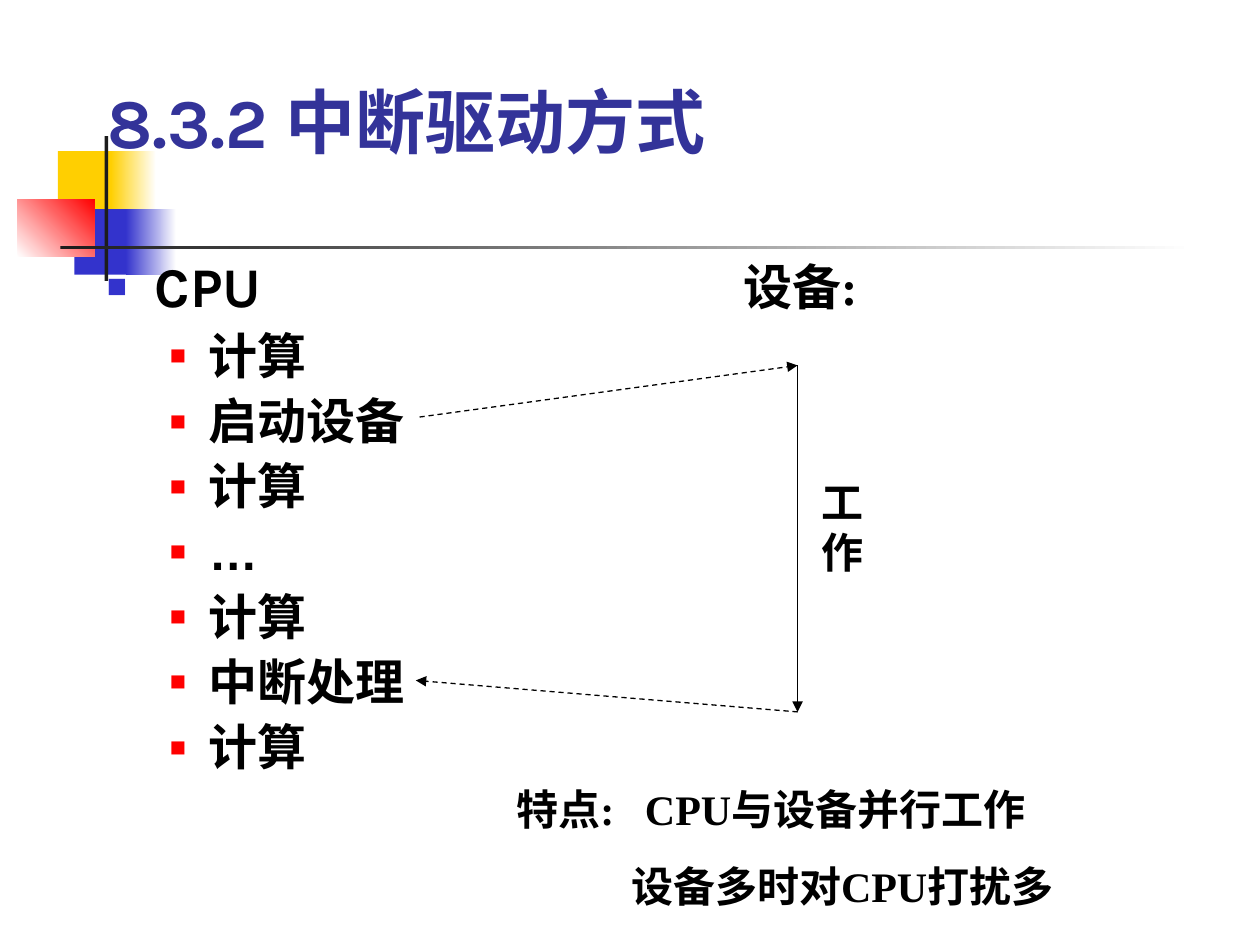
from lxml.etree import SubElement
from pptx import Presentation
from pptx.dml.color import RGBColor
from pptx.enum.dml import MSO_LINE_DASH_STYLE as Dash
from pptx.enum.shapes import MSO_CONNECTOR as Connector, MSO_SHAPE as Shape
from pptx.enum.text import MSO_ANCHOR as Anchor, PP_ALIGN as Align
from pptx.oxml.ns import qn
from pptx.util import Inches, Pt

COLORS = {
    "yellow": "FFCF01",
    "blue": "3333CC",
    "red": "FF0000",
    "dark": "1C1C1C",
    "white": "FFFFFF",
    "title": "333399",
    "text": "000000",
}
HEADING_FONT = "Karla"
LABEL_FONT = "Times New Roman"
CPU_STEPS = ["计算", "启动设备", "计算", "…", "计算", "中断处理", "计算"]
DECORATIONS = [
    (0.46, 1.2, 0.48, 0.52, ["yellow"], 0),
    (0.88, 1.2, 0.36, 0.52, ["yellow", "white"], 0),
    (0.59, 1.66, 0.46, 0.52, ["blue"], 0),
    (1, 1.66, 0.4, 0.52, ["blue", "white"], 0),
    (0.14, 1.58, 0.61, 0.46, ["white", "red"], 45),
    (0.83, 1.08, 0.03, 1.15, ["dark"], 0),
    (0.48, 1.95, 9, 0.03, ["dark", "white"], 0),
]


def rgb(name):
    return RGBColor.from_string(COLORS[name])


def style(para, size, font, color="text"):
    para.font.size = Pt(size)
    para.font.name = font
    para.font.bold = True
    para.font.color.rgb = rgb(color)


def add_decoration(page, left, top, width, height, colors, angle):
    block = page.shapes.add_shape(
        Shape.RECTANGLE, Inches(left), Inches(top), Inches(width), Inches(height))
    block.shadow.inherit = False
    block.line.fill.background()
    if len(colors) == 1:
        block.fill.solid()
        block.fill.fore_color.rgb = rgb(colors[0])
        return
    block.fill.gradient()
    block.fill.gradient_angle = angle
    for stop, color in zip(block.fill.gradient_stops, colors):
        stop.color.rgb = rgb(color)


def add_title(page, text):
    title = page.shapes.title
    title.left, title.top = Inches(0.75), Inches(0.33)
    title.width, title.height = Inches(8.5), Inches(1.25)
    page.shapes._spTree.append(title._element)
    frame = title.text_frame
    frame.text = text
    frame.vertical_anchor = Anchor.MIDDLE
    para = frame.paragraphs[0]
    para.alignment = Align.LEFT
    style(para, 40, HEADING_FONT, "title")


def add_box(page, left, top, width, height):
    box = page.shapes.add_textbox(
        Inches(left), Inches(top), Inches(width), Inches(height))
    box.text_frame.word_wrap = True
    return box.text_frame


def add_bullet(para, color, percent, margin, hanging):
    props = para._p.get_or_add_pPr()
    props.set("marL", str(Inches(margin)))
    props.set("indent", str(-Inches(hanging)))
    tint = SubElement(props, qn("a:buClr"))
    SubElement(tint, qn("a:srgbClr")).set("val", COLORS[color])
    SubElement(props, qn("a:buSzPct")).set("val", str(percent * 1000))
    SubElement(props, qn("a:buFont")).set("typeface", "Arial")
    SubElement(props, qn("a:buChar")).set("char", "■")


def add_cpu_list(page):
    frame = add_box(page, 0.75, 2.01, 3.67, 4.5)
    heading = frame.paragraphs[0]
    heading.text = "CPU"
    heading.line_spacing = 0.9
    add_bullet(heading, "blue", 60, 0.38, 0.38)
    style(heading, 32, HEADING_FONT)
    for step in CPU_STEPS:
        para = frame.add_paragraph()
        para.text = step
        para.level = 1
        para.line_spacing = 0.9
        para.space_before = Pt(7)
        add_bullet(para, "red", 55, 0.81, 0.31)
        style(para, 28, "Arial" if step == "…" else HEADING_FONT)


def add_label(page, left, top, width, height, text, size):
    para = add_box(page, left, top, width, height).paragraphs[0]
    para.text = text
    style(para, size, LABEL_FONT)


def add_features(page):
    frame = add_box(page, 4, 6.17, 5.25, 1.11)
    first = frame.paragraphs[0]
    first.text = "特点:\tCPU与设备并行工作"
    tabs = SubElement(first._p.get_or_add_pPr(), qn("a:tabLst"))
    tab = SubElement(tabs, qn("a:tab"))
    tab.set("pos", str(Inches(1.02)))
    tab.set("algn", "l")
    second = frame.add_paragraph()
    second.text = "设备多时对CPU打扰多"
    second.space_before = Pt(15)
    second._p.get_or_add_pPr().set("marL", str(Inches(0.91)))
    for para in frame.paragraphs:
        style(para, 24, LABEL_FONT)


def add_arrow(page, start, end, dashed=False):
    arrow = page.shapes.add_connector(
        Connector.STRAIGHT, *map(Inches, start), *map(Inches, end))
    arrow.line.color.rgb = rgb("text")
    arrow.line.width = Pt(0.75)
    if dashed:
        arrow.line.dash_style = Dash.DASH
    SubElement(arrow.line._get_or_add_ln(), qn("a:tailEnd")).set("type", "triangle")
    SubElement(arrow._element.spPr, qn("a:effectLst"))


def main():
    deck = Presentation()
    deck.slide_width, deck.slide_height = Inches(10), Inches(7.5)
    page = deck.slides.add_slide(deck.slide_layouts[5])
    for decoration in DECORATIONS:
        add_decoration(page, *decoration)
    add_title(page, "8.3.2 中断驱动方式")
    add_cpu_list(page)
    add_label(page, 5.8, 1.99, 1.25, 0.57, "设备:", 28)
    work_start, work_end = (6.33, 2.9), (6.33, 5.65)
    add_arrow(page, work_start, work_end)
    add_label(page, 6.42, 3.73, 0.75, 0.9, "工作", 24)
    add_arrow(page, (3.33, 3.31), work_start, dashed=True)
    add_arrow(page, work_end, (3.3, 5.4), dashed=True)
    add_features(page)
    deck.save("out.pptx")


if __name__ == "__main__":
    main()
